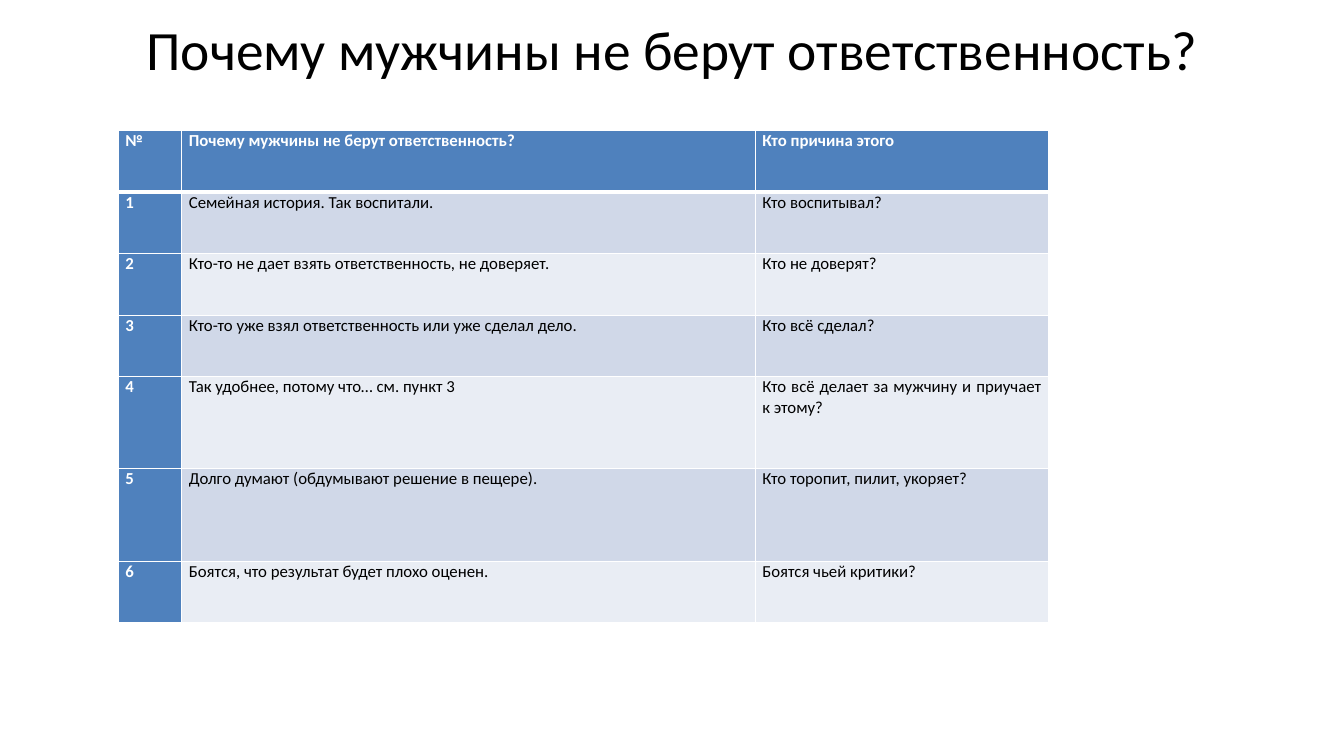
from typing import NamedTuple

from lxml.etree import SubElement
from pptx import Presentation
from pptx.dml.color import RGBColor
from pptx.enum.text import MSO_ANCHOR as Anchor, PP_ALIGN as Align
from pptx.oxml.ns import qn
from pptx.util import Cm, Pt

FONT = "Calibri"
WHITE, BLACK = "FFFFFF", "000000"
HEADER_FILL = "4F81BD"
BAND_FILLS = ("D0D8E8", "E9EDF4")
QUESTION = "Почему мужчины не берут ответственность?"
COLUMN_WIDTHS = (1.6, 14.45, 7.4)
ROW_HEIGHT = 1.55


class Reason(NamedTuple):
    number: str
    reason: str
    cause: str
    height: float = ROW_HEIGHT
    align: Align = Align.JUSTIFY


ROWS = (
    Reason("№", QUESTION, "Кто причина этого", align=Align.LEFT),
    Reason("1", "Семейная история. Так воспитали.", "Кто воспитывал?", align=Align.LEFT),
    Reason("2", "Кто-то не дает взять ответственность, не доверяет.", "Кто не доверят?"),
    Reason("3", "Кто-то уже взял ответственность или уже сделал дело.", "Кто всё сделал?"),
    Reason("4", "Так удобнее, потому что… см. пункт 3",
           "Кто всё делает за мужчину и приучает к этому?", 1.5 * ROW_HEIGHT),
    Reason("5", "Долго думают (обдумывают решение в пещере).",
           "Кто торопит, пилит, укоряет?", 1.5 * ROW_HEIGHT),
    Reason("6", "Боятся, что результат будет плохо оценен.", "Боятся чьей критики?"),
)


def color(value: str) -> RGBColor:
    return RGBColor.from_string(value)


def write(para, text: str, size: float, ink: str, align: Align, bold: bool = False) -> None:
    para.alignment = align
    span = para.add_run()
    span.text = text
    span.font.name = FONT
    span.font.size = Pt(size)
    span.font.bold = bold
    span.font.color.rgb = color(ink)


def set_borders(cell, top: float, bottom: float) -> None:
    properties = cell._tc.get_or_add_tcPr()
    widths = {"a:lnL": 1, "a:lnR": 1, "a:lnT": top, "a:lnB": bottom}
    for position, (tag, width) in enumerate(widths.items()):
        line = SubElement(properties, qn(tag), w=str(Pt(width)))
        fill = SubElement(line, qn("a:solidFill"))
        SubElement(fill, qn("a:srgbClr"), val=WHITE)
        properties.insert(position, line)


def draw_title(page) -> None:
    box = page.shapes.add_textbox(Cm(1.7), Cm(0.36), Cm(30.48), Cm(1.7))
    frame = box.text_frame
    frame.word_wrap = True
    frame.vertical_anchor = Anchor.MIDDLE
    frame.margin_top = frame.margin_bottom = 0
    write(frame.paragraphs[0], QUESTION, 39.6, BLACK, Align.CENTER)


def draw_cell(cell, text: str, row: int, column: int, align: Align) -> None:
    heading = row == 0 or column == 0
    cell.margin_left = cell.margin_right = Cm(0.18)
    cell.margin_top = cell.margin_bottom = 0
    cell.fill.solid()
    cell.fill.fore_color.rgb = color(HEADER_FILL if heading else BAND_FILLS[(row - 1) % 2])
    set_borders(cell, top=3 if row == 1 else 1, bottom=3 if row == 0 else 1)
    write(cell.text_frame.paragraphs[0], text, 12, WHITE if heading else BLACK, align, heading)


def draw_table(page) -> None:
    width = sum(COLUMN_WIDTHS)
    height = sum(entry.height for entry in ROWS)
    table = page.shapes.add_table(
        len(ROWS), len(COLUMN_WIDTHS), Cm(2.98), Cm(3.29), Cm(width), Cm(height)
    ).table
    for column, column_width in zip(table.columns, COLUMN_WIDTHS):
        column.width = Cm(column_width)
    for row, entry in enumerate(ROWS):
        table.rows[row].height = Cm(entry.height)
        for column, text in enumerate((entry.number, entry.reason, entry.cause)):
            draw_cell(table.cell(row, column), text, row, column, entry.align)


def main() -> None:
    deck = Presentation()
    deck.slide_width, deck.slide_height = Cm(33.87), Cm(19.05)
    page = deck.slides.add_slide(deck.slide_layouts[6])
    draw_table(page)
    draw_title(page)
    deck.save("out.pptx")


if __name__ == "__main__":
    main()
